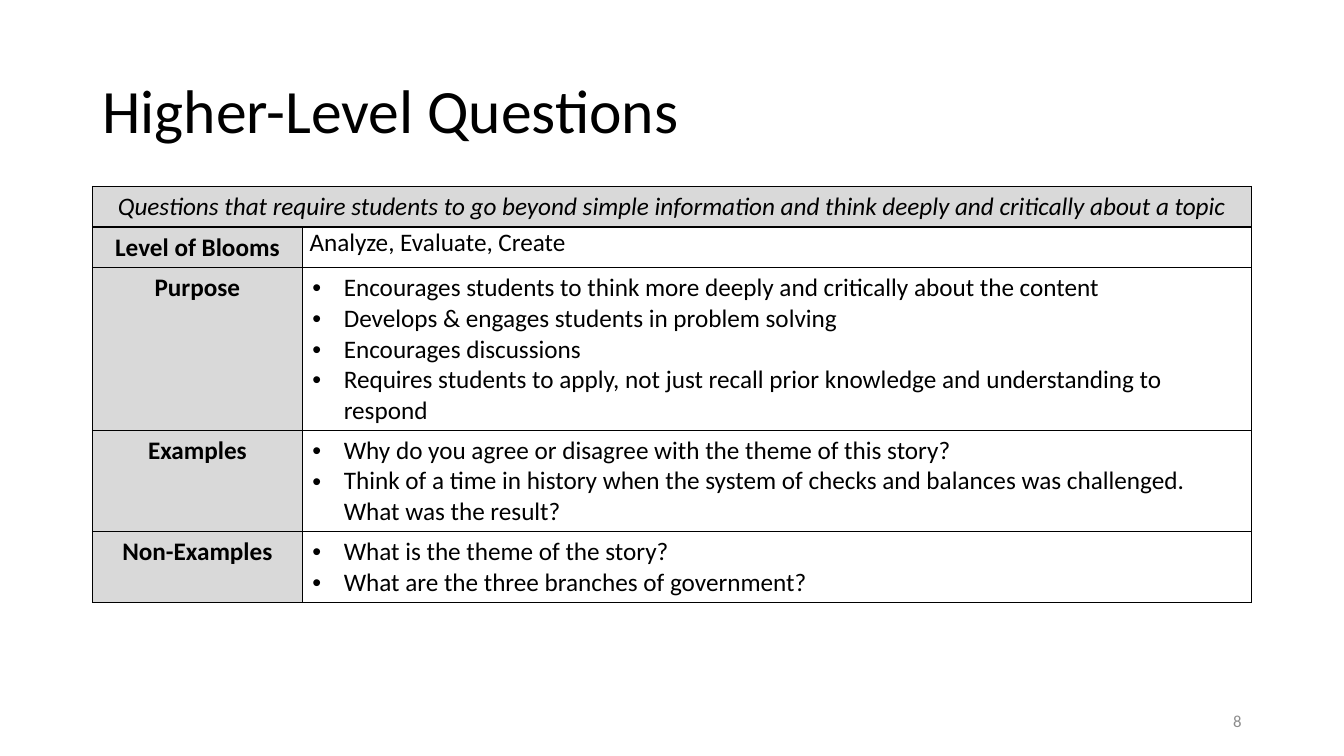
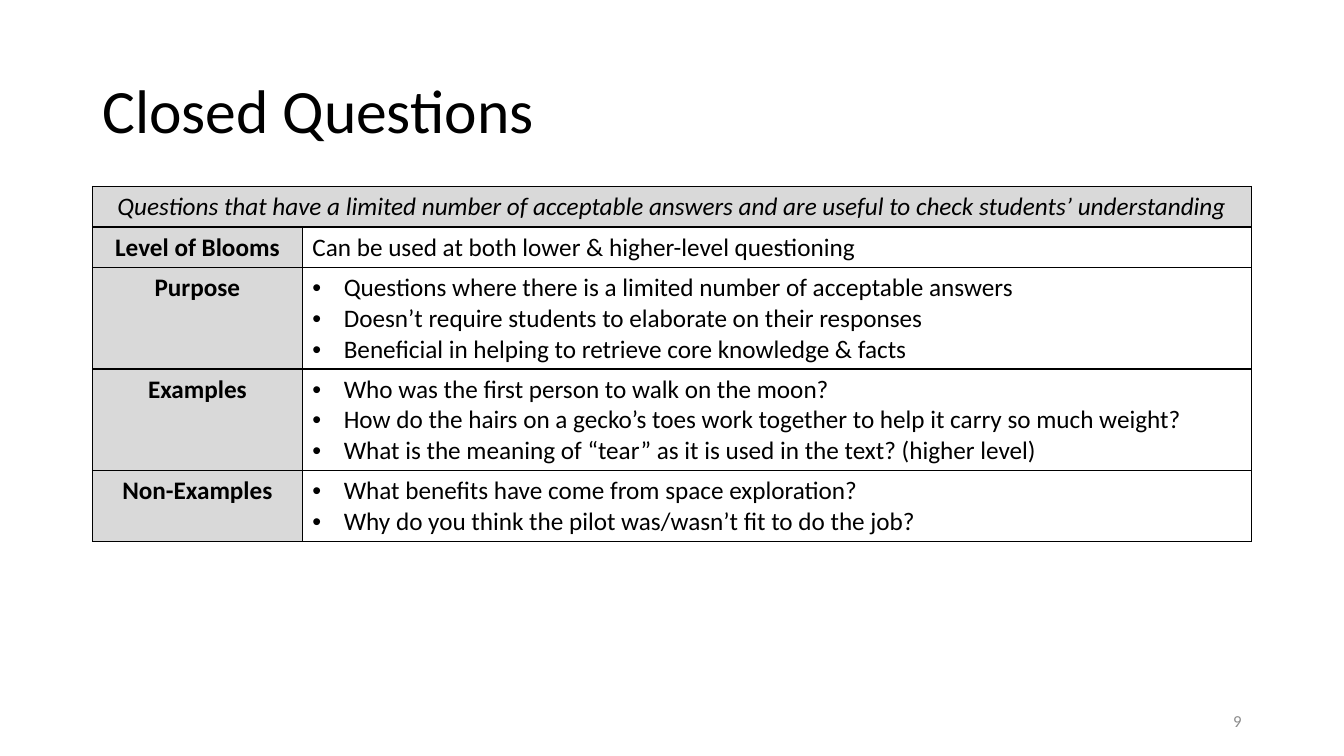
from dataclasses import dataclass

from lxml.etree import SubElement
from pptx import Presentation
from pptx.dml.color import RGBColor
from pptx.enum.text import MSO_ANCHOR, PP_ALIGN
from pptx.oxml.ns import qn
from pptx.util import Cm, Pt


@dataclass(frozen=True)
class Theme:
    font: str = "Calibri"
    ink: str = "000000"
    label_fill: str = "D9D9D9"
    number_ink: str = "8C8C8C"
    title_size: int = 44
    body_size: int = 18
    number_size: int = 12
    border_width: int = 1


@dataclass(frozen=True)
class Row:
    label: str
    points: tuple[str, ...]
    lines: int
    bulleted: bool = True
    tight: bool = False


@dataclass(frozen=True)
class QuestionType:
    number: int
    title: str
    definition: str
    rows: tuple[Row, ...]


THEME = Theme()
LEFT, WIDTH, LABEL_WIDTH = 2.33, 29.21, 5.29
TABLE_TOP = 4.7
LINE_HEIGHT, ROW_PADDING = 0.77, 0.25
BULLET_INDENT = 0.79

QUESTION_TYPES = (
    QuestionType(
        8,
        "Higher-Level Questions",
        "Questions that require students to go beyond simple information "
        "and think deeply and critically about a topic",
        (
            Row("Level of Blooms", ("Analyze, Evaluate, Create",), 1,
                bulleted=False, tight=True),
            Row("Purpose", (
                "Encourages students to think more deeply and critically about the content",
                "Develops & engages students in problem solving",
                "Encourages discussions",
                "Requires students to apply, not just recall prior knowledge "
                "and understanding to respond",
            ), 5),
            Row("Examples", (
                "Why do you agree or disagree with the theme of this story?",
                "Think of a time in history when the system of checks and balances "
                "was challenged. What was the result?",
            ), 3),
            Row("Non-Examples", (
                "What is the theme of the story?",
                "What are the three branches of government?",
            ), 2),
        ),
    ),
    QuestionType(
        9,
        "Closed Questions",
        "Questions that have a limited number of acceptable answers "
        "and are useful to check students’ understanding",
        (
            Row("Level of Blooms",
                ("Can be used at both lower & higher-level questioning",), 1,
                bulleted=False),
            Row("Purpose", (
                "Questions where there is a limited number of acceptable answers",
                "Doesn’t require students to elaborate on their responses",
                "Beneficial in helping to retrieve core knowledge & facts",
            ), 3),
            Row("Examples", (
                "Who was the first person to walk on the moon?",
                "How do the hairs on a gecko’s toes work together to help it "
                "carry so much weight?",
                "What is the meaning of “tear” as it is used in the text? (higher level)",
            ), 3),
            Row("Non-Examples", (
                "What benefits have come from space exploration?",
                "Why do you think the pilot was/wasn’t fit to do the job?",
            ), 2),
        ),
    ),
)


def style(paragraph, size: int, color: str = THEME.ink, align=PP_ALIGN.LEFT,
          bold: bool = False, italic: bool = False) -> None:
    paragraph.alignment = align
    font = paragraph.font
    font.name = THEME.font
    font.size = Pt(size)
    font.color.rgb = RGBColor.from_string(color)
    font.bold = bold
    font.italic = italic


def add_bullet(paragraph) -> None:
    properties = paragraph._p.get_or_add_pPr()
    properties.set("marL", str(Cm(BULLET_INDENT)))
    properties.set("indent", str(-Cm(BULLET_INDENT)))
    SubElement(properties, qn("a:buFont"), typeface="Arial")
    SubElement(properties, qn("a:buChar"), char="•")


def add_line(slide, text: str, left: float, top: float, width: float, height: float):
    frame = slide.shapes.add_textbox(Cm(left), Cm(top), Cm(width), Cm(height)).text_frame
    frame.word_wrap = True
    frame.vertical_anchor = MSO_ANCHOR.MIDDLE
    paragraph = frame.paragraphs[0]
    paragraph.text = text
    return paragraph


def finish_cell(cell, shaded: bool) -> None:
    properties = cell._tc.get_or_add_tcPr()
    for side in ("lnL", "lnR", "lnT", "lnB"):
        border = SubElement(properties, qn(f"a:{side}"), w=str(Pt(THEME.border_width)))
        SubElement(SubElement(border, qn("a:solidFill")), qn("a:srgbClr"), val=THEME.ink)
    if shaded:
        cell.fill.solid()
        cell.fill.fore_color.rgb = RGBColor.from_string(THEME.label_fill)
    else:
        cell.fill.background()


def write_label(cell, text: str, bold: bool = False, italic: bool = False) -> None:
    paragraph = cell.text_frame.paragraphs[0]
    paragraph.text = text
    style(paragraph, THEME.body_size, align=PP_ALIGN.CENTER, bold=bold, italic=italic)


def write_points(cell, row: Row) -> None:
    frame = cell.text_frame
    for index, point in enumerate(row.points):
        paragraph = frame.add_paragraph() if index else frame.paragraphs[0]
        paragraph.text = point
        if row.bulleted:
            add_bullet(paragraph)
        style(paragraph, THEME.body_size)
    if row.tight:
        cell.margin_left = cell.margin_right = Cm(0.18)
        cell.margin_top = cell.margin_bottom = 0


def add_question_table(slide, question: QuestionType) -> None:
    heights = [ROW_PADDING + LINE_HEIGHT * lines
               for lines in (1, *(row.lines for row in question.rows))]
    table = slide.shapes.add_table(len(heights), 2, Cm(LEFT), Cm(TABLE_TOP),
                                   Cm(WIDTH), Cm(sum(heights))).table
    table.first_row = table.horz_banding = False
    for column, width in zip(table.columns, (LABEL_WIDTH, WIDTH - LABEL_WIDTH)):
        column.width = Cm(width)
    for table_row, height in zip(table.rows, heights):
        table_row.height = Cm(height)

    table.cell(0, 0).merge(table.cell(0, 1))
    write_label(table.cell(0, 0), question.definition, italic=True)
    for index, row in enumerate(question.rows, start=1):
        write_label(table.cell(index, 0), row.label, bold=True)
        write_points(table.cell(index, 1), row)
    for index in range(len(heights)):
        finish_cell(table.cell(index, 0), shaded=True)
        finish_cell(table.cell(index, 1), shaded=index == 0)


def add_question_slide(presentation, question: QuestionType) -> None:
    slide = presentation.slides.add_slide(presentation.slide_layouts[6])
    title = add_line(slide, question.title, LEFT, 1.01, WIDTH, 3.68)
    title.line_spacing = 0.9
    style(title, THEME.title_size)
    add_question_table(slide, question)
    number = add_line(slide, str(question.number), 23.92, 17.65, 7.62, 1.01)
    style(number, THEME.number_size, THEME.number_ink, PP_ALIGN.RIGHT)


def main() -> None:
    presentation = Presentation()
    presentation.slide_width = Cm(33.87)
    presentation.slide_height = Cm(19.05)
    for question in QUESTION_TYPES:
        add_question_slide(presentation, question)
    presentation.save("out.pptx")


if __name__ == "__main__":
    main()
